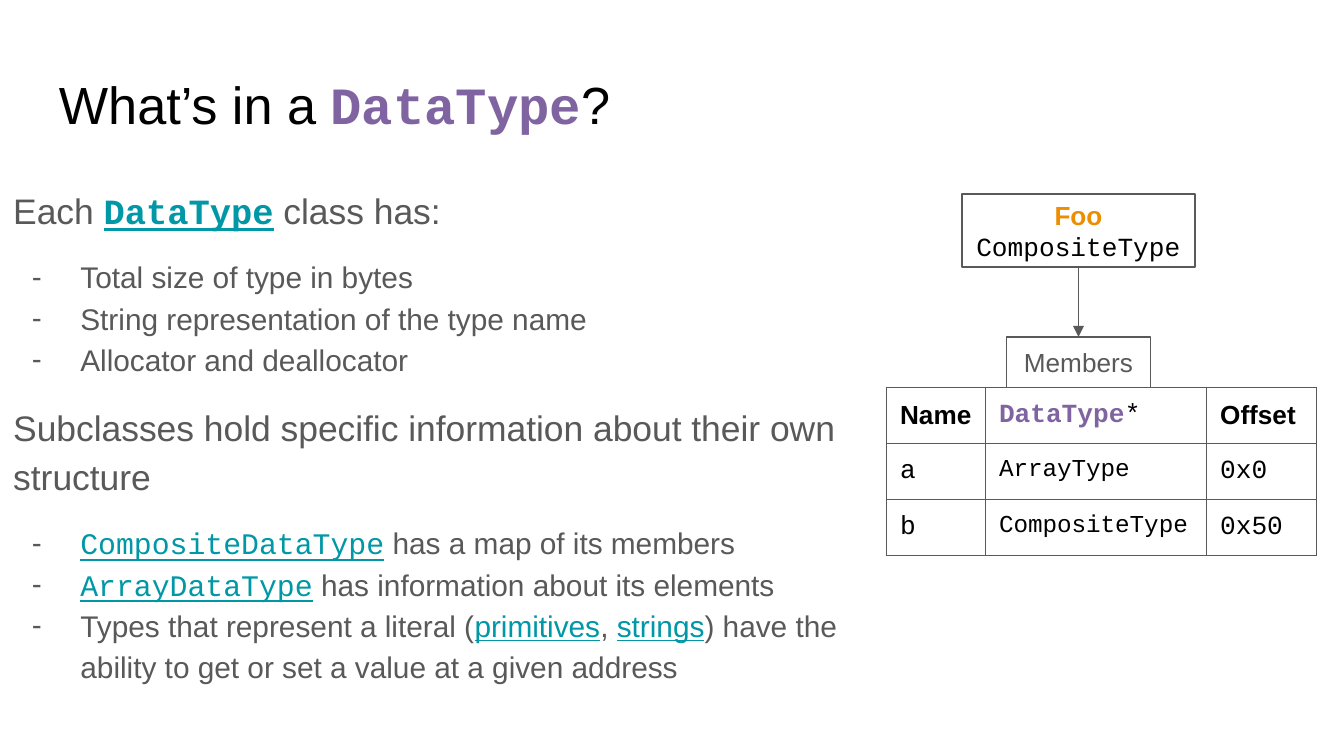
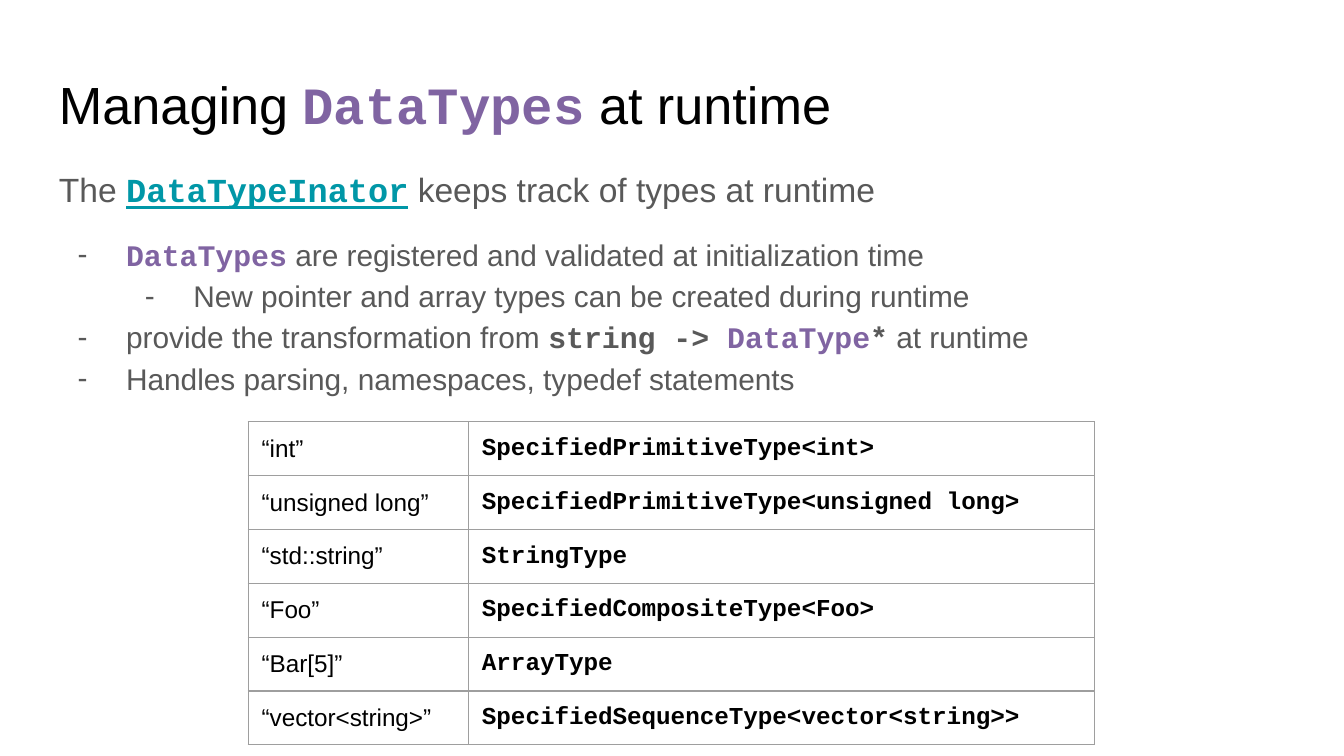
from lxml.etree import SubElement
from pptx import Presentation
from pptx.dml.color import RGBColor
from pptx.enum.shapes import MSO_CONNECTOR, MSO_SHAPE
from pptx.enum.text import MSO_ANCHOR, PP_ALIGN
from pptx.oxml.ns import qn
from pptx.util import Pt

BLACK = RGBColor(0x00, 0x00, 0x00)
WHITE = RGBColor(0xFF, 0xFF, 0xFF)
GREY = RGBColor(0x59, 0x59, 0x59)
RULE = RGBColor(0x9E, 0x9E, 0x9E)
PURPLE = RGBColor(0x80, 0x64, 0xA2)
TEAL = RGBColor(0x00, 0x97, 0xA7)
ORANGE = RGBColor(0xED, 0x8E, 0x00)
SANS, MONO = "Arial", "Courier New"
INSET, CELL_BOTTOM, LINE_W = 7.2, 6, 0.75

# Run styles: font, colour, bold, underline
TEXT = (SANS, GREY, False, False)
LINK = (SANS, TEAL, False, True)
CODE_LINK = (MONO, TEAL, False, True)
CLASS_LINK = (MONO, TEAL, True, True)
CLASS = (MONO, PURPLE, True, False)
CODE = (MONO, GREY, True, False)
INK = (SANS, BLACK, False, False)
INK_BOLD = (SANS, BLACK, True, False)
INK_CODE = (MONO, BLACK, False, False)
INK_CODE_BOLD = (MONO, BLACK, True, False)
STRUCT = (SANS, ORANGE, True, False)

# Body paragraphs: bullet level (0 is no bullet), size, space before, runs
CONTENTS_TITLE = [("What’s in a ", INK), ("DataType", CLASS), ("?", INK)]
CONTENTS_BODY = [
    (0, 19, 0, [("Each ", TEXT), ("DataType", CLASS_LINK), (" class has:", TEXT)]),
    (1, 16, 12, [("Total size of type in bytes", TEXT)]),
    (1, 16, 0, [("String representation of the type name", TEXT)]),
    (1, 16, 0, [("Allocator and deallocator", TEXT)]),
    (0, 19, 12, [("Subclasses hold specific information about their own structure", TEXT)]),
    (1, 16, 12, [("CompositeDataType", CODE_LINK), (" has a map of its members", TEXT)]),
    (1, 16, 0, [("ArrayDataType", CODE_LINK),
                (" has information about its elements", TEXT)]),
    (1, 16, 0, [("Types that represent a literal (", TEXT), ("primitives", LINK),
                (", ", TEXT), ("strings", LINK),
                (") have the ability to get or set a value at a given address", TEXT)]),
]
MEMBERS = [("a", "ArrayType", "0x0"), ("b", "CompositeType", "0x50")]

RUNTIME_TITLE = [("Managing ", INK), ("DataTypes", CLASS), (" at runtime", INK)]
RUNTIME_BODY = [
    (0, 18, 0, [("The ", TEXT), ("DataTypeInator", CLASS_LINK),
                (" keeps track of types at runtime", TEXT)]),
    (1, 16, 12, [("DataTypes", CLASS),
                 (" are registered and validated at initialization time", TEXT)]),
    (2, 16, 0, [("New pointer and array types can be created during runtime", TEXT)]),
    (1, 16, 0, [("provide the transformation from ", TEXT), ("string -> ", CODE),
                ("DataType", CLASS), ("*", CODE), (" at runtime", TEXT)]),
    (1, 16, 0, [("Handles parsing, namespaces, typedef statements", TEXT)]),
]
TYPE_NAMES = [
    ("“int”", "SpecifiedPrimitiveType<int>"),
    ("“unsigned long”", "SpecifiedPrimitiveType<unsigned long>"),
    ("“std::string”", "StringType"),
    ("“Foo”", "SpecifiedCompositeType<Foo>"),
    ("“Bar[5]”", "ArrayType"),
    ("“vector<string>”", "SpecifiedSequenceType<vector<string>>"),
]


def add_runs(p, runs, size):
    for text, (font, color, bold, underline) in runs:
        r = p.add_run()
        r.text = text
        r.font.name, r.font.size = font, Pt(size)
        r.font.bold, r.font.underline = bold, underline
        r.font.color.rgb = color


def set_insets(tf):
    tf.word_wrap = True
    tf.margin_left = tf.margin_right = tf.margin_top = tf.margin_bottom = Pt(INSET)


def add_bullet(p, level):
    pPr = p._p.get_or_add_pPr()
    pPr.set("marL", str(Pt(36 * level)))
    pPr.set("indent", str(Pt(-26)))
    color = SubElement(SubElement(pPr, qn("a:buClr")), qn("a:srgbClr"))
    color.set("val", str(GREY))
    SubElement(pPr, qn("a:buFont")).set("typeface", SANS)
    SubElement(pPr, qn("a:buChar")).set("char", "-")


def add_text(s, box, paragraphs, spacing):
    tf = s.shapes.add_textbox(*map(Pt, box)).text_frame
    set_insets(tf)
    for i, (level, size, before, runs) in enumerate(paragraphs):
        p = tf.add_paragraph() if i else tf.paragraphs[0]
        p.line_spacing, p.space_before = spacing, Pt(before)
        if level:
            p.level = level - 1
            add_bullet(p, level)
        add_runs(p, runs, size)


def add_slide(prs, title, body, body_box):
    s = prs.slides.add_slide(prs.slide_layouts[6])
    s.background.fill.solid()
    s.background.fill.fore_color.rgb = WHITE
    add_text(s, (24.5, 35.5, 671, 45.5), [(0, 28, 0, title)], 0.9)
    add_text(s, body_box, body, 1.15)
    return s


def add_box(s, box, lines):
    sp = s.shapes.add_shape(MSO_SHAPE.RECTANGLE, *map(Pt, box))
    sp.shadow.inherit = False
    sp.fill.solid()
    sp.fill.fore_color.rgb = WHITE
    sp.line.color.rgb, sp.line.width = GREY, Pt(LINE_W)
    tf = sp.text_frame
    set_insets(tf)
    tf.vertical_anchor = MSO_ANCHOR.MIDDLE
    for i, run in enumerate(lines):
        p = tf.add_paragraph() if i else tf.paragraphs[0]
        p.alignment = PP_ALIGN.CENTER
        add_runs(p, [run], 14)
    return sp


def add_grid(s, left, top, widths, row_height, rows, border):
    """Each cell is a pair: text size and runs."""
    table = s.shapes.add_table(len(rows), len(widths), Pt(left), Pt(top),
                               Pt(sum(widths)), Pt(row_height * len(rows))).table
    table.first_row = table.horz_banding = False
    for column, width in zip(table.columns, widths):
        column.width = Pt(width)
    for i, row in enumerate(rows):
        for j, (size, runs) in enumerate(row):
            cell = table.cell(i, j)
            cell.margin_left = cell.margin_right = cell.margin_top = Pt(INSET)
            cell.margin_bottom = Pt(CELL_BOTTOM)
            tcPr = cell._tc.get_or_add_tcPr()
            for side in ("lnL", "lnR", "lnT", "lnB"):
                ln = SubElement(tcPr, qn("a:" + side), w=str(Pt(LINE_W)))
                fill = SubElement(ln, qn("a:solidFill"))
                SubElement(fill, qn("a:srgbClr")).set("val", str(border))
            cell.fill.background()
            add_runs(cell.text_frame.paragraphs[0], runs, size)


def add_arrow(s, start, end):
    cx = s.shapes.add_connector(MSO_CONNECTOR.STRAIGHT, 0, 0, 0, 0)
    cx.begin_connect(start, 2)
    cx.end_connect(end, 0)
    cx.line.color.rgb, cx.line.width = GREY, Pt(LINE_W)
    SubElement(cx.line._get_or_add_ln(), qn("a:tailEnd")).set("type", "triangle")
    SubElement(cx._element.spPr, qn("a:effectLst"))


def main():
    prs = Presentation()
    prs.slide_width, prs.slide_height = Pt(720), Pt(405)

    # Contents of a data type, with the member diagram
    s = add_slide(prs, CONTENTS_TITLE, CONTENTS_BODY, (0, 90.5, 464, 314))
    foo = add_box(s, (515.3, 104, 125, 39), [("Foo", STRUCT), ("CompositeType", INK_CODE)])
    header = [(14, [("Name", INK_BOLD)]),
              (14, [("DataType", CLASS), ("*", INK_CODE)]),
              (14, [("Offset", INK_BOLD)])]
    rows = [[(size, [(text, INK_CODE)]) for size, text in zip((14, 13, 14), member)]
            for member in MEMBERS]
    add_grid(s, 475, 207.5, (53, 118.5, 59), 29, [header] + rows, GREY)
    members = add_box(s, (539.3, 180.5, 77, 27), [("Members", TEXT)])
    add_arrow(s, foo, members)

    # Type lookup at runtime
    s = add_slide(prs, RUNTIME_TITLE, RUNTIME_BODY, (24.5, 80, 671, 269))
    rows = [[(13, [(name, INK)]), (13, [(kind, INK_CODE_BOLD)])]
            for name, kind in TYPE_NAMES]
    add_grid(s, 133, 226, (118, 335.5), 28, rows, RULE)

    prs.save("out.pptx")


if __name__ == "__main__":
    main()
